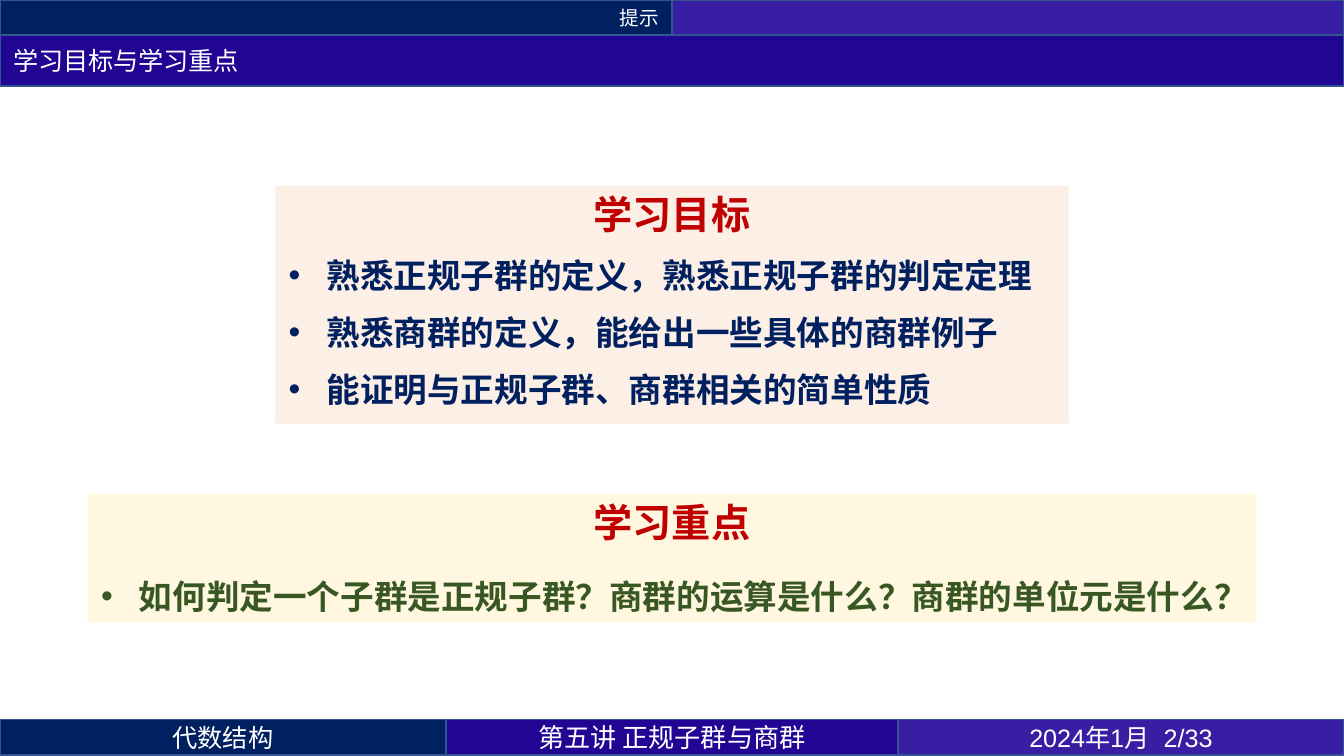
from dataclasses import dataclass

from lxml.etree import SubElement
from pptx import Presentation
from pptx.dml.color import RGBColor
from pptx.enum.shapes import MSO_SHAPE
from pptx.enum.text import MSO_ANCHOR, MSO_AUTO_SIZE, PP_ALIGN
from pptx.oxml.ns import qn
from pptx.util import Pt


@dataclass(frozen=True)
class Theme:
    navy: str = "002060"
    indigo: str = "210694"
    violet: str = "371EA2"
    outline: str = "325491"
    white: str = "FFFFFF"
    red: str = "C00000"
    green: str = "385723"
    peach: str = "FBE5D6"
    cream: str = "FFF2CC"
    cjk: str = "Noto Sans CJK SC"
    latin: str = "Arial"
    title_font: str = "Calibri"
    small: float = 10.5
    bar: float = 13.5
    lecture: float = 14
    item: float = 18
    heading: float = 21


class Deck:
    """Holds the theme and the current slide, and draws each kind of element."""

    def __init__(self, prs, theme):
        self.theme = theme
        self.s = prs.slides.add_slide(prs.slide_layouts[3])

    def place(self, sp, box):
        sp.left, sp.top, sp.width, sp.height = (Pt(v) for v in box)

    def frame(self, sp, anchor):
        tf = sp.text_frame
        tf.word_wrap = True
        tf.auto_size = MSO_AUTO_SIZE.NONE
        tf.vertical_anchor = anchor
        tf.margin_left = tf.margin_right = Pt(7.2)
        tf.margin_top = tf.margin_bottom = Pt(3.6)
        return tf

    def run(self, p, text, size, color, font, bold=False):
        r = p.add_run()
        r.text = text
        r.font.size = Pt(size)
        r.font.bold = bold
        r.font.color.rgb = RGBColor.from_string(color)
        r.font.name = font
        SubElement(r._r.get_or_add_rPr(), qn("a:ea"), typeface=self.theme.cjk)

    def paint(self, sp, fill):
        sp.fill.solid()
        sp.fill.fore_color.rgb = RGBColor.from_string(fill)
        sp.line.color.rgb = RGBColor.from_string(self.theme.outline)
        sp.line.width = Pt(1)

    def label(self, sp, text, size, font, align):
        p = self.frame(sp, MSO_ANCHOR.MIDDLE).paragraphs[0]
        p.alignment = align
        self.run(p, text, size, self.theme.white, font)

    def bar(self, box, fill, text="", size=None, font=None, align=PP_ALIGN.CENTER):
        sp = self.s.shapes.add_shape(MSO_SHAPE.RECTANGLE, *(Pt(v) for v in box))
        sp.shadow.inherit = False
        self.paint(sp, fill)
        if text:
            self.label(sp, text, size, font or self.theme.cjk, align)

    def title(self, box, text):
        sp = self.s.shapes.title
        self.place(sp, box)
        self.paint(sp, self.theme.indigo)
        self.label(sp, text, self.theme.bar, self.theme.title_font, PP_ALIGN.LEFT)

    def bullet(self, p, indent, char=None):
        pPr = p._p.get_or_add_pPr()
        pPr.set("marL", str(Pt(indent)))
        pPr.set("indent", str(-Pt(indent)))
        if char:
            SubElement(pPr, qn("a:buFont"), typeface=self.theme.latin)
            SubElement(pPr, qn("a:buChar"), char=char)
        else:
            SubElement(pPr, qn("a:buNone"))

    def panel(self, idx, box, fill, heading, items, color, before, leading=None):
        t = self.theme
        sp = self.s.placeholders[idx]
        self.place(sp, box)
        sp.fill.solid()
        sp.fill.fore_color.rgb = RGBColor.from_string(fill)
        SubElement(sp._element.spPr.find(".//" + qn("a:srgbClr")), qn("a:alpha"), val="60000")
        tf = self.frame(sp, MSO_ANCHOR.TOP)
        for i, text in enumerate([heading, *items]):
            p = tf.add_paragraph() if i else tf.paragraphs[0]
            p.space_before, p.space_after = Pt(before), Pt(4.5)
            if i:
                p.alignment = PP_ALIGN.LEFT
                p.line_spacing = Pt(leading) if leading else 1.0
                self.bullet(p, 20.25, "•")
                self.run(p, text, t.item, color, t.latin, True)
            else:
                p.alignment = PP_ALIGN.CENTER
                p.line_spacing = Pt(24)
                self.bullet(p, 0)
                self.run(p, text, t.heading, t.red, t.cjk, True)


def main():
    t = Theme()
    prs = Presentation()
    prs.slide_width, prs.slide_height = Pt(720), Pt(405)
    d = Deck(prs, t)

    d.bar((0, 0, 360, 19), t.navy, "提示", t.small, align=PP_ALIGN.RIGHT)
    d.bar((360, 0, 360, 19), t.violet)
    d.title((0, 19, 720, 27), "学习目标与学习重点")

    left = 0
    for width, fill, text, size, font in (
        (239, t.navy, "代数结构", t.bar, t.cjk),
        (242, t.indigo, "第五讲 正规子群与商群", t.lecture, t.cjk),
        (239, t.violet, "2024年1月 \t2/33", t.bar, t.latin),
    ):
        d.bar((left, 385.5, width, 19), fill, text, size, font)
        left += width

    goals = [
        "熟悉正规子群的定义，熟悉正规子群的判定定理",
        "熟悉商群的定义，能给出一些具体的商群例子",
        "能证明与正规子群、商群相关的简单性质",
    ]
    focus = ["如何判定一个子群是正规子群？商群的运算是什么？商群的单位元是什么？"]
    d.panel(1, (147.5, 99.75, 425, 127.25), t.peach, "学习目标", goals, t.navy, 4.5)
    d.panel(2, (47, 264.75, 626, 68.75), t.cream, "学习重点", focus, t.green, 9, 24)

    prs.save("out.pptx")


if __name__ == "__main__":
    main()
